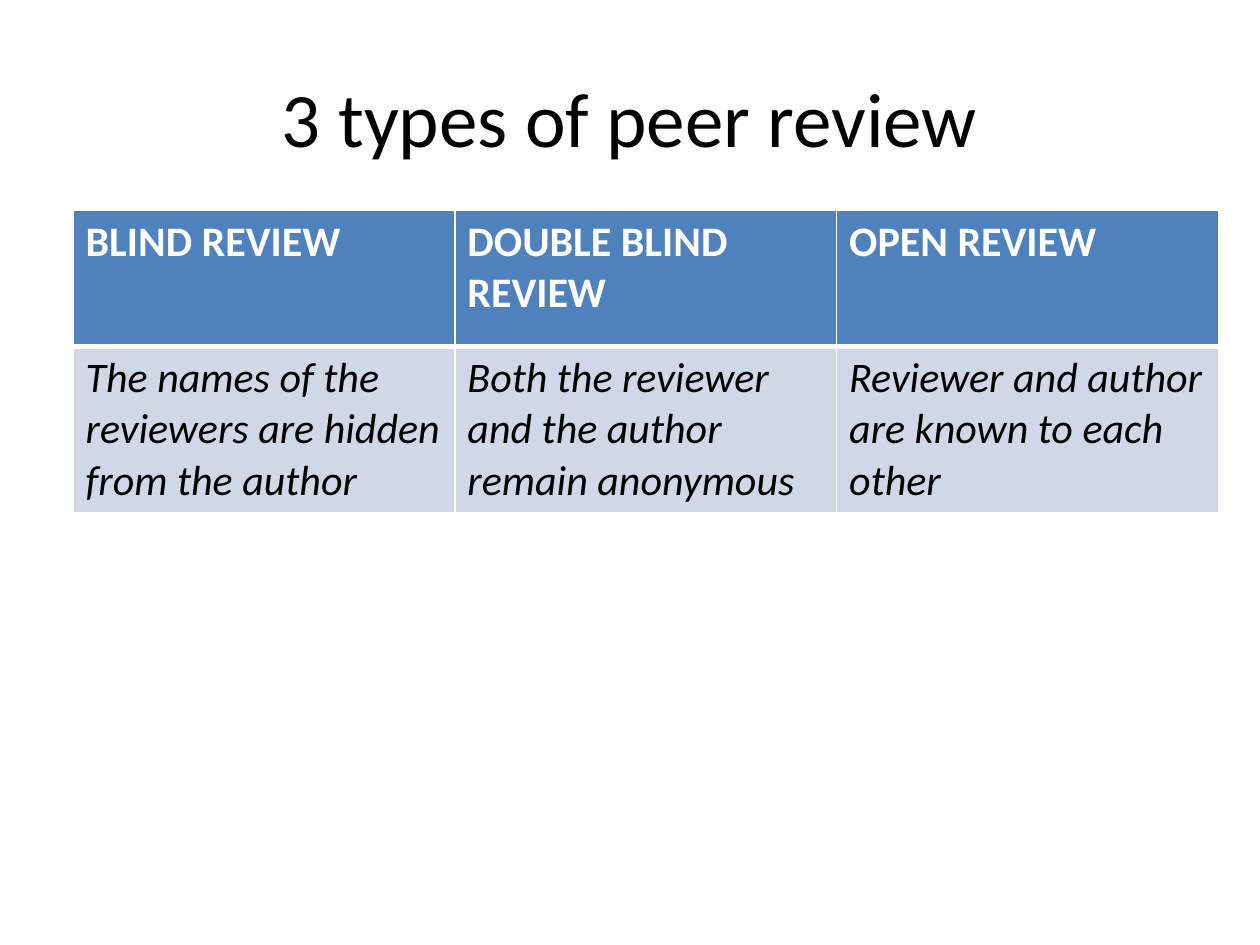
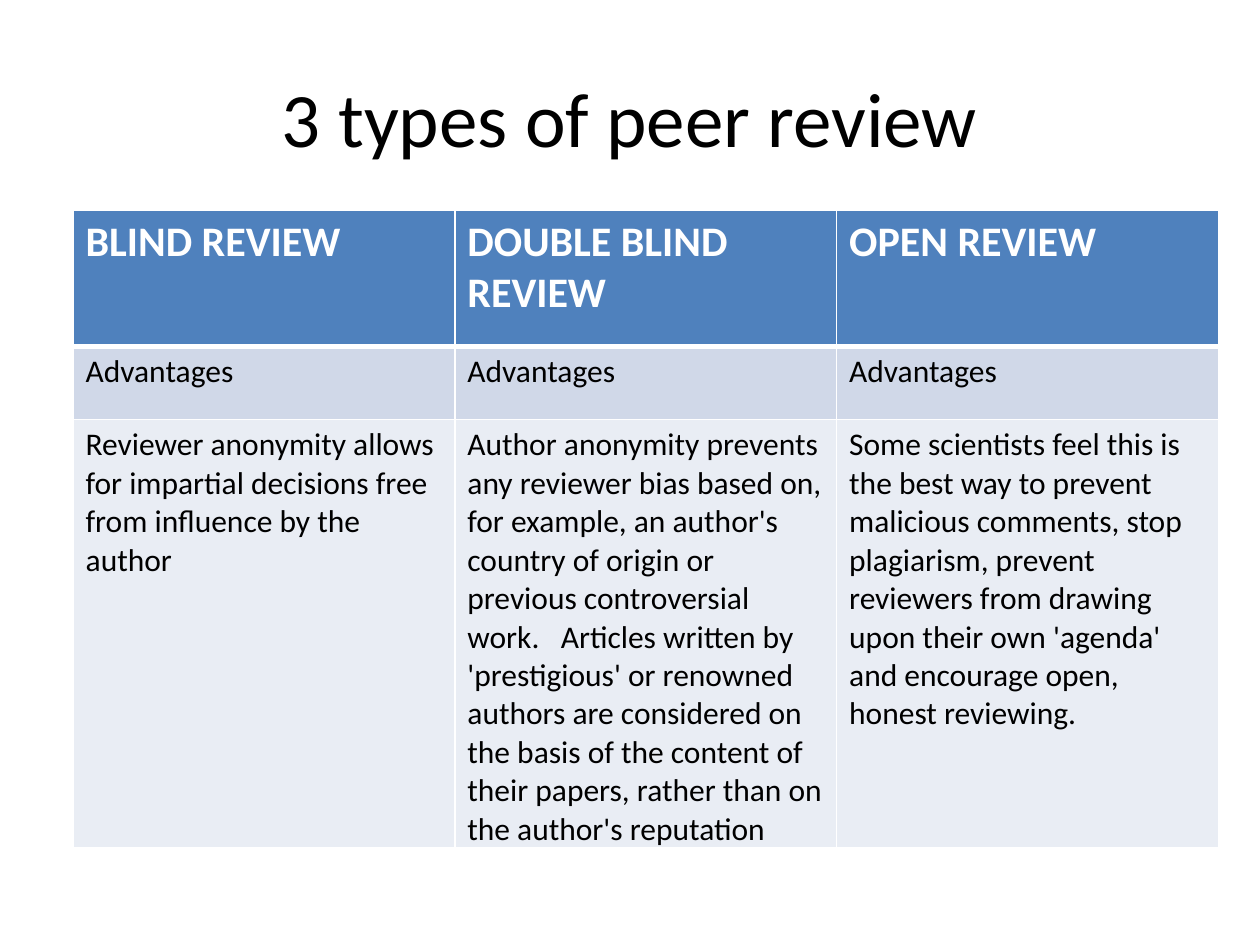
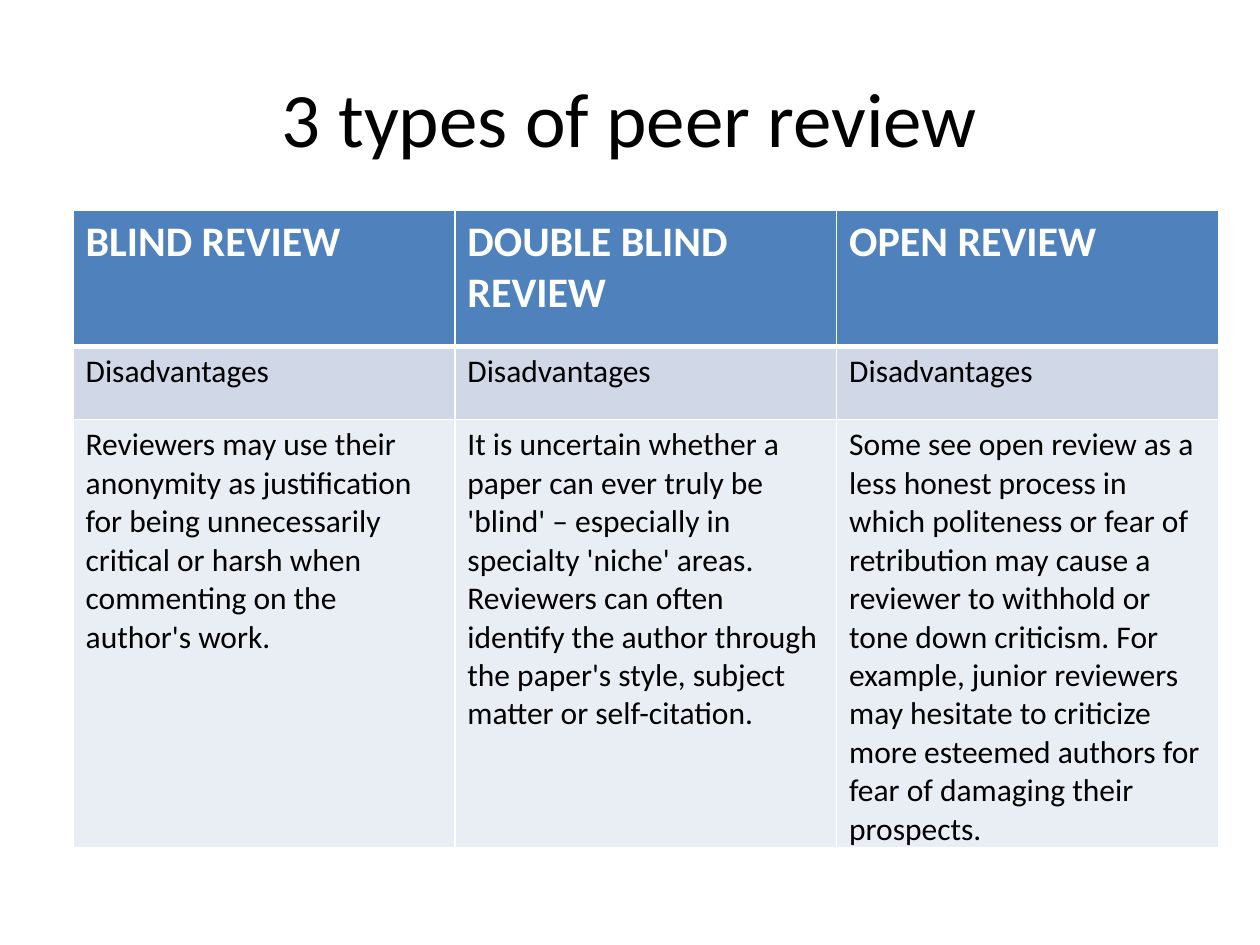
"""Build three slides that compare blind, double blind and open peer review."""

from lxml.etree import SubElement
from pptx import Presentation
from pptx.dml.color import RGBColor
from pptx.enum.text import MSO_ANCHOR, PP_ALIGN
from pptx.oxml.ns import qn
from pptx.util import Pt

PX = 9144
FONT = "Calibri"
BLACK = RGBColor(0x00, 0x00, 0x00)
WHITE = RGBColor(0xFF, 0xFF, 0xFF)
HEADER_BLUE = RGBColor(0x4F, 0x81, 0xBD)
BAND_BLUE = RGBColor(0xD0, 0xD8, 0xE8)
PALE_BLUE = RGBColor(0xE9, 0xED, 0xF4)
ROW_FILLS = [HEADER_BLUE, BAND_BLUE, PALE_BLUE]

TITLE = "3 types of peer review"
REVIEW_TYPES = ["BLIND REVIEW", "DOUBLE BLIND REVIEW", "OPEN REVIEW"]
DEFINITIONS = [
    "The names of the reviewers are hidden from the author",
    "Both the reviewer and the author remain anonymous",
    "Reviewer and author are known to each other",
]
ADVANTAGES = [
    "Reviewer anonymity allows for impartial decisions free from influence by the author",
    "Author anonymity prevents any reviewer bias based on, for example, an author's country "
    "of origin or previous controversial work.   Articles written by 'prestigious' or "
    "renowned authors are considered on the basis of the content of their papers, rather "
    "than on the author's reputation",
    "Some scientists feel this is the best way to prevent malicious comments, stop "
    "plagiarism, prevent reviewers from drawing upon their own 'agenda' and encourage "
    "open, honest reviewing.",
]
DISADVANTAGES = [
    "Reviewers may use their anonymity as justification for being unnecessarily critical "
    "or harsh when commenting on the author's work.",
    "It is uncertain whether a paper can ever truly be 'blind' – especially in specialty "
    "'niche' areas. Reviewers can often identify the author through the paper's style, "
    "subject matter or self-citation.",
    "Some see open review as a less honest process in which politeness or fear of "
    "retribution may cause a reviewer to withhold or tone down criticism. For example, "
    "junior reviewers may hesitate to criticize more esteemed authors for fear of damaging "
    "their prospects.",
]
SLIDES = [
    ([DEFINITIONS], [108, 130], 24, True),
    ([["Advantages"] * 3, ADVANTAGES], [108, 58, 340], 18, False),
    ([["Disadvantages"] * 3, DISADVANTAGES], [108, 58, 340], 18, False),
]
COLUMN_WIDTH = 303


def add_span(para, text, size, color, bold=False, italic=False):
    span = para.add_run()
    span.text = text
    span.font.name = FONT
    span.font.size = Pt(size)
    span.font.color.rgb = color
    span.font.bold = bold
    span.font.italic = italic


def add_border(cell, side, points):
    line = SubElement(cell._tc.get_or_add_tcPr(), qn(f"a:{side}"), w=str(Pt(points)))
    fill = SubElement(line, qn("a:solidFill"))
    SubElement(fill, qn("a:srgbClr"), val=str(WHITE))


deck = Presentation()
deck.slide_width = 1000 * PX
deck.slide_height = 750 * PX

for body_rows, row_heights, body_size, body_italic in SLIDES:
    page = deck.slides.add_slide(deck.slide_layouts[6])
    rows = [REVIEW_TYPES] + body_rows
    table = page.shapes.add_table(
        len(rows), len(REVIEW_TYPES), 58 * PX, 167 * PX,
        COLUMN_WIDTH * len(REVIEW_TYPES) * PX, sum(row_heights) * PX,
    ).table
    for column in table.columns:
        column.width = COLUMN_WIDTH * PX

    for row_index, texts in enumerate(rows):
        table.rows[row_index].height = row_heights[row_index] * PX
        is_header = row_index == 0
        for column_index, text in enumerate(texts):
            cell = table.cell(row_index, column_index)
            add_border(cell, "lnL", 1)
            add_border(cell, "lnR", 1)
            add_border(cell, "lnT", 3 if row_index == 1 else 1)
            add_border(cell, "lnB", 3 if is_header else 1)
            cell.fill.solid()
            cell.fill.fore_color.rgb = ROW_FILLS[row_index]
            para = cell.text_frame.paragraphs[0]
            if is_header:
                add_span(para, text, 24, WHITE, bold=True)
            else:
                add_span(para, text, body_size, BLACK, italic=body_italic)

    box = page.shapes.add_textbox(50 * PX, 30 * PX, 900 * PX, 125 * PX)
    box.text_frame.word_wrap = True
    box.text_frame.vertical_anchor = MSO_ANCHOR.MIDDLE
    para = box.text_frame.paragraphs[0]
    para.alignment = PP_ALIGN.CENTER
    add_span(para, TITLE, 44, BLACK)

deck.save("out.pptx")
